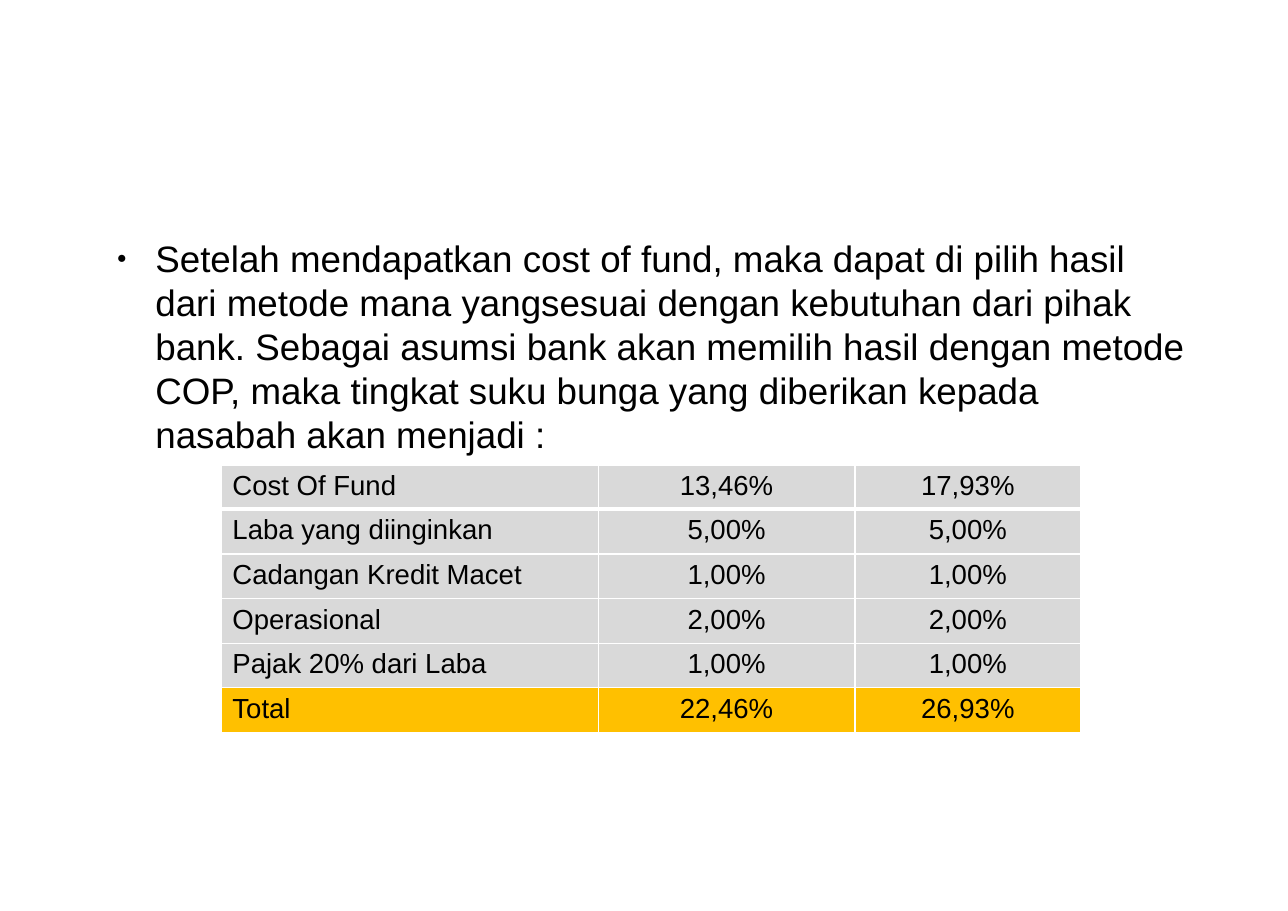
"""Build the slide on lending rates derived from the cost of fund."""
from dataclasses import dataclass

from lxml.etree import SubElement
from pptx import Presentation
from pptx.dml.color import RGBColor as RGB
from pptx.enum.text import PP_ALIGN as ALIGN
from pptx.oxml.ns import qn
from pptx.util import Inches, Pt


@dataclass(frozen=True)
class Theme:
    font: str = "Arial"
    text: str = "000000"
    body_fill: str = "D9D9D9"
    total_fill: str = "FFC000"
    border: str = "FFFFFF"
    body_size: int = 24
    table_size: int = 18


theme = Theme()


def write(tf, text, size=theme.table_size, align=ALIGN.LEFT, after=0):
    p = tf.paragraphs[0]
    p.alignment = align
    p.line_spacing = 1.0
    p.space_after = Pt(after)
    r = p.add_run()
    r.text = text
    r.font.name = theme.font
    r.font.size = Pt(size)
    r.font.color.rgb = RGB.from_string(theme.text)
    return p


def set_border(cell, side, width):
    ln = SubElement(cell._tc.get_or_add_tcPr(), qn(f"a:{side}"), w=str(Pt(width)))
    fill = SubElement(ln, qn("a:solidFill"))
    SubElement(fill, qn("a:srgbClr"), val=theme.border)


prs = Presentation()
prs.slide_width = Inches(11.69)
prs.slide_height = Inches(8.27)
s = prs.slides.add_slide(prs.slide_layouts[6])

sp = s.shapes.add_textbox(Inches(0.94), Inches(2.14), Inches(9.82), Inches(4.94))
tf = sp.text_frame
tf.word_wrap = True
tf.margin_left = tf.margin_right = tf.margin_top = tf.margin_bottom = 0
p = write(
    tf,
    "Setelah mendapatkan cost of fund, maka dapat di pilih hasil dari metode mana "
    "yangsesuai dengan kebutuhan dari pihak bank. Sebagai asumsi bank akan memilih "
    "hasil dengan metode COP, maka tingkat suku bunga yang diberikan kepada nasabah "
    "akan menjadi :",
    size=theme.body_size,
    after=14.2,
)
pPr = p._p.get_or_add_pPr()
pPr.set("marL", str(Inches(0.47)))
pPr.set("indent", str(Inches(-0.35)))
bullet_color = SubElement(pPr, qn("a:buClr"))
SubElement(bullet_color, qn("a:srgbClr"), val=theme.text)
SubElement(pPr, qn("a:buSzPct"), val="45000")
SubElement(pPr, qn("a:buFont"), typeface=theme.font)
SubElement(pPr, qn("a:buChar"), char="●")

rates = [
    ("Cost Of Fund", "13,46%", "17,93%"),
    ("Laba yang diinginkan", "5,00%", "5,00%"),
    ("Cadangan Kredit Macet", "1,00%", "1,00%"),
    ("Operasional", "2,00%", "2,00%"),
    ("Pajak 20% dari Laba", "1,00%", "1,00%"),
    ("Total", "22,46%", "26,93%"),
]
col_widths = [3.42, 2.33, 2.05]
last = len(rates) - 1

table = s.shapes.add_table(
    len(rates), len(col_widths),
    Inches(2.01), Inches(4.22), Inches(sum(col_widths)), Inches(2.43),
).table
table.horz_banding = False
for column, width in zip(table.columns, col_widths):
    column.width = Inches(width)

for i, row in enumerate(rates):
    for j, text in enumerate(row):
        cell = table.cell(i, j)
        write(cell.text_frame, text, align=ALIGN.CENTER if j else ALIGN.LEFT)
        set_border(cell, "lnL", 1)
        set_border(cell, "lnR", 1)
        set_border(cell, "lnT", 3 if i == 1 else 1)
        set_border(cell, "lnB", 3 if i == 0 else 1)
        cell.fill.solid()
        cell.fill.fore_color.rgb = RGB.from_string(
            theme.total_fill if i == last else theme.body_fill
        )

prs.save("out.pptx")
